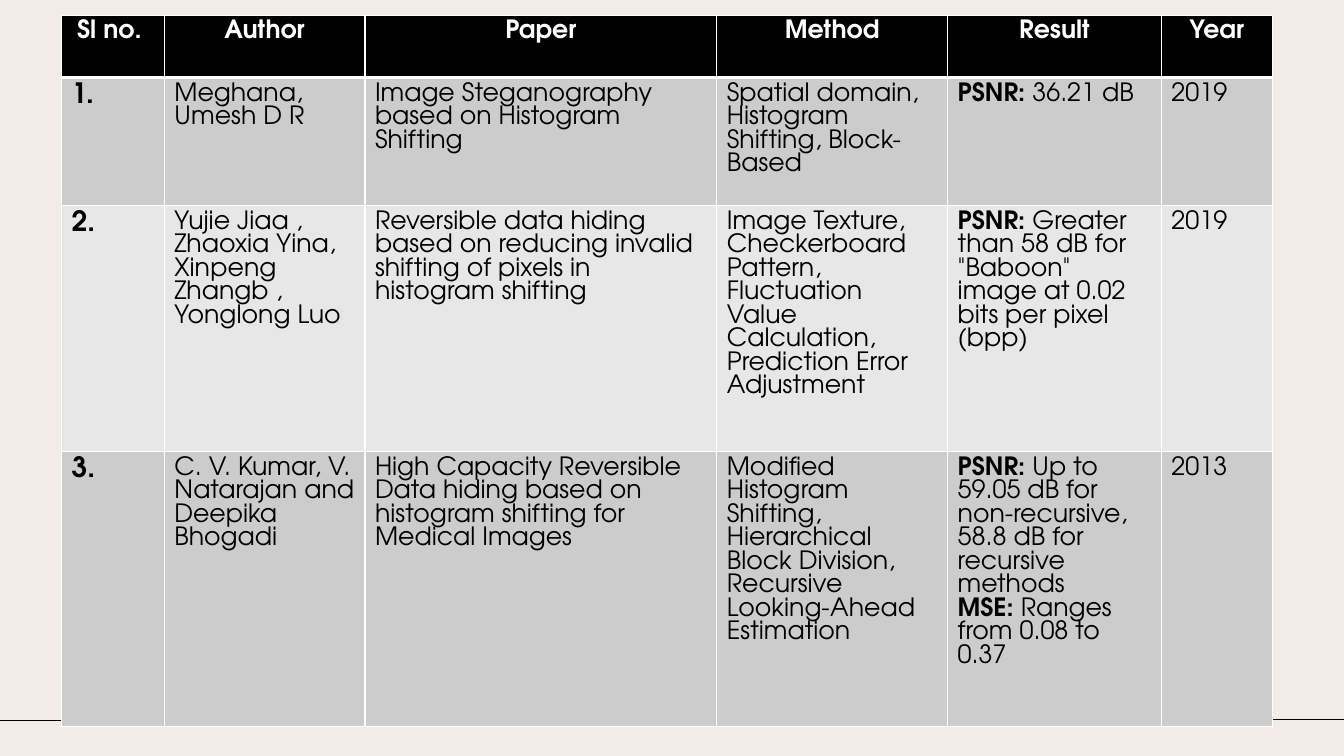
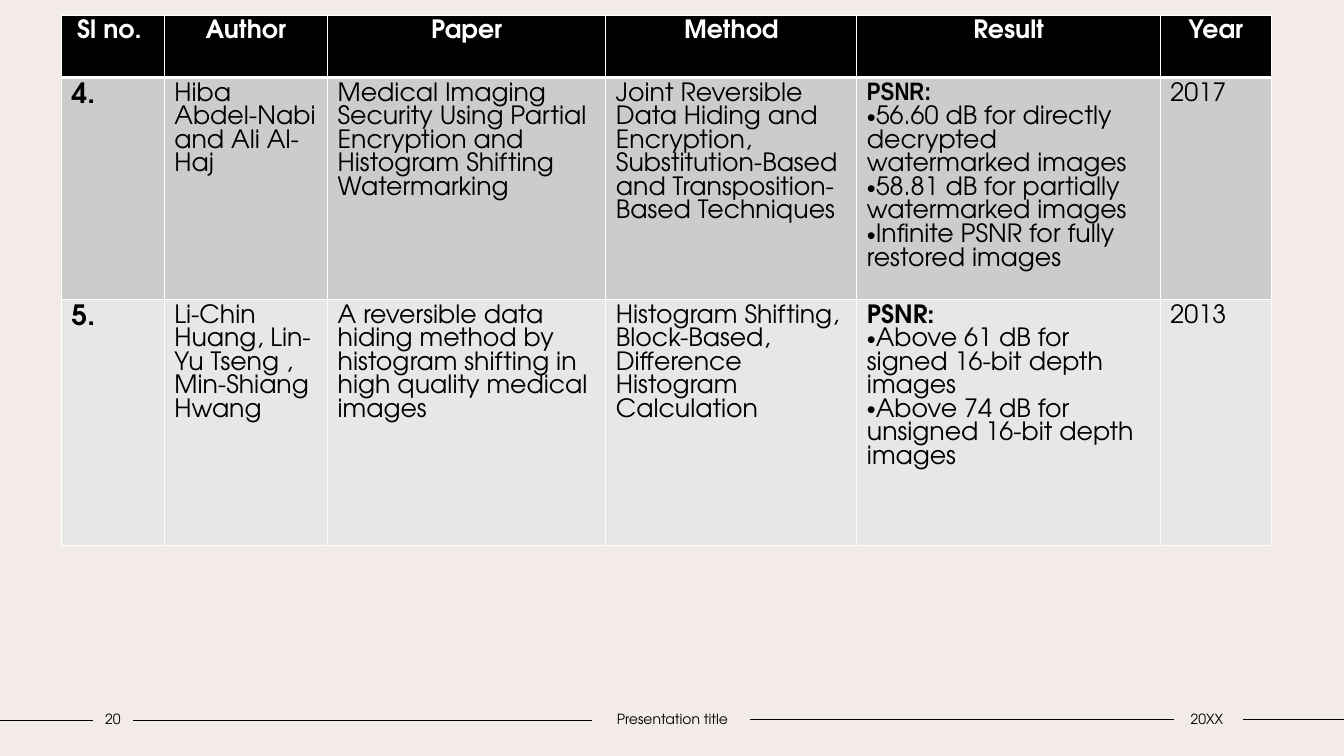
from lxml import etree
from pptx import Presentation
from pptx import util as u
from pptx.dml import color
from pptx.enum import shapes, text
from pptx.oxml import ns

COLORS = {"paper": "F3EBE8", "ink": "000000", "white": "FFFFFF",
          "odd": "CCCCCC", "even": "E7E7E7"}
FONT = "TeX Gyre Adventor"
NARROW = "Arial Narrow"
LINE_RATIO = 16.8 / 18
HEADINGS = ["Sl no. ", "Author", "Paper", "Method", "Result", "Year"]
FOOTER_RULES = [(0, 0.92, 7.15), (1.32, 5.87, 7.15),
                (7.44, 11.64, 7.14), (12.33, 13.33, 7.14)]
TABLE_LEFT, TABLE_TOP, HEADER_HEIGHT = 0.61, 0.15, 0.62

SURVEYS = [
    {"page": "19",
     "widths": [1.02, 1.99, 3.49, 2.29, 2.12, 1.1],
     "heights": [1.27, 2.44, 2.73],
     "papers": [
         ("1.", "Meghana, Umesh D R",
          "Image Steganography based on Histogram Shifting",
          "Spatial domain, Histogram Shifting, Block-Based",
          [("PSNR: ", "36.21 dB")], "2019"),
         ("2.", "Yujie Jiaa , Zhaoxia Yina, Xinpeng Zhangb , Yonglong Luo",
          "Reversible data hiding based on reducing invalid shifting of pixels "
          "in histogram shifting",
          "Image Texture, Checkerboard Pattern, Fluctuation Value Calculation, "
          "Prediction Error Adjustment",
          [("PSNR: ", 'Greater than 58 dB for "Baboon" image at 0.02 bits per '
            "pixel (bpp)")], "2019"),
         ("3.", "C. V. Kumar, V. Natarajan and Deepika Bhogadi",
          "High Capacity Reversible Data hiding based on histogram shifting "
          "for Medical Images",
          "Modified Histogram Shifting, Hierarchical Block Division, "
          "Recursive Looking-Ahead Estimation",
          [("PSNR: ", "Up to 59.05 dB for non-recursive, 58.8 dB for recursive "
            "methods"),
           ("MSE: ", "Ranges from 0.08 to 0.37")], "2013"),
     ]},
    {"page": "20",
     "widths": [1.02, 1.62, 2.76, 2.49, 3.01, 1.1],
     "heights": [2.2, 2.44],
     "label_fonts": [NARROW, FONT],
     "papers": [
         ("4.", "Hiba Abdel-Nabi and Ali Al-Haj",
          "Medical Imaging Security Using Partial Encryption and Histogram "
          "Shifting Watermarking",
          "Joint Reversible Data Hiding and Encryption, Substitution-Based and "
          "Transposition-Based Techniques",
          [("PSNR:", ""),
           ("", "56.60 dB for directly decrypted watermarked images"),
           ("", "58.81 dB for partially watermarked images"),
           ("", "Infinite PSNR for fully restored images")], "2017"),
         ("5.", "Li-Chin Huang, Lin-Yu Tseng , Min-Shiang Hwang",
          "A reversible data hiding method by histogram shifting in high "
          "quality medical images",
          "Histogram Shifting, Block-Based, Difference Histogram Calculation",
          [("PSNR:", ""),
           ("", "Above 61 dB for signed 16-bit depth images"),
           ("", "Above 74 dB for unsigned 16-bit depth images")], "2013"),
     ]},
]


def rgb(name):
    """Return the named colour."""
    return color.RGBColor.from_string(COLORS[name])


def style_paragraph(paragraph, size, ink="ink", bold=False, font=FONT):
    """Set the font of a whole paragraph."""
    paragraph.font.name = font
    paragraph.font.size = u.Pt(size)
    paragraph.font.bold = bold
    paragraph.font.color.rgb = rgb(ink)


def add_bullet(paragraph):
    """Put a dot directly before the paragraph."""
    properties = paragraph._p.get_or_add_pPr()
    properties.set("marL", "0")
    properties.set("indent", "0")
    etree.SubElement(properties, ns.qn("a:buFont"), typeface="Arial")
    etree.SubElement(properties, ns.qn("a:buChar"), char="•")


def style_cell(cell, fill, top, bottom):
    """Draw white borders and a plain fill."""
    properties = cell._tc.get_or_add_tcPr()
    for side, points in (("L", 1), ("R", 1), ("T", top), ("B", bottom)):
        border = etree.SubElement(properties, ns.qn(f"a:ln{side}"),
                                  w=str(u.Pt(points)))
        solid = etree.SubElement(border, ns.qn("a:solidFill"))
        etree.SubElement(solid, ns.qn("a:srgbClr"), val=COLORS["white"])
    cell.fill.solid()
    cell.fill.fore_color.rgb = rgb(fill)


def write_line(paragraph, words, size=18, **style):
    """Write one tightly spaced table paragraph."""
    paragraph.line_spacing = u.Pt(round(size * LINE_RATIO, 1))
    paragraph.add_run().text = words
    style_paragraph(paragraph, size, **style)


def write_results(cell, results, label_font):
    """Write bold measures followed by values, or bulleted values."""
    frame = cell.text_frame
    for index, (label, value) in enumerate(results):
        paragraph = frame.add_paragraph() if index else frame.paragraphs[0]
        if label and value:
            write_line(paragraph, label)
            paragraph.runs[0].font.bold = True
            paragraph.add_run().text = value
        elif label:
            write_line(paragraph, label, bold=True, font=label_font)
        else:
            add_bullet(paragraph)
            write_line(paragraph, value)


def add_survey_table(slide, left, top, survey):
    """Build the literature table from its top left corner."""
    widths = survey["widths"]
    heights = [HEADER_HEIGHT] + survey["heights"]
    table = slide.shapes.add_table(
        len(heights), len(widths), u.Inches(left), u.Inches(top),
        u.Inches(sum(widths)), u.Inches(sum(heights))).table
    for column, width in zip(table.columns, widths):
        column.width = u.Inches(width)
    for row, height in zip(table.rows, heights):
        row.height = u.Inches(height)

    for cell, heading in zip(table.rows[0].cells, HEADINGS):
        style_cell(cell, "ink", 1, 3)
        paragraph = cell.text_frame.paragraphs[0]
        paragraph.alignment = text.PP_ALIGN.CENTER
        write_line(paragraph, heading, ink="white", bold=True)

    label_fonts = survey.get("label_fonts", [FONT] * len(survey["papers"]))
    for number, paper in enumerate(survey["papers"], 1):
        for column, content in enumerate(paper):
            cell = table.cell(number, column)
            style_cell(cell, "odd" if number % 2 else "even",
                       3 if number == 1 else 1, 1)
            if isinstance(content, list):
                write_results(cell, content, label_fonts[number - 1])
            else:
                write_line(cell.text_frame.paragraphs[0], content,
                           size=18 if column else 20, bold=column == 0)


def add_footer(slide, page):
    """Add the footer rules with page, title and year between them."""
    for start, end, height in FOOTER_RULES:
        rule = slide.shapes.add_connector(
            shapes.MSO_CONNECTOR.STRAIGHT, u.Inches(start), u.Inches(height),
            u.Inches(end), u.Inches(height))
        rule.line.color.rgb = rgb("ink")
        rule.line.width = u.Pt(1)
        etree.SubElement(rule._element.spPr, ns.qn("a:effectLst"))
    for words, left, width in ((page, 0.92, 0.4),
                               ("Presentation title", 5.87, 1.6),
                               ("20XX", 11.62, 0.7)):
        frame = slide.shapes.add_textbox(
            u.Inches(left), u.Inches(7), u.Inches(width),
            u.Inches(0.27)).text_frame
        frame.word_wrap = True
        frame.margin_left = frame.margin_right = 0
        frame.vertical_anchor = text.MSO_ANCHOR.MIDDLE
        paragraph = frame.paragraphs[0]
        paragraph.add_run().text = words
        paragraph.alignment = text.PP_ALIGN.CENTER
        style_paragraph(paragraph, 10)


def main():
    """Build and save the survey slides."""
    deck = Presentation()
    deck.slide_width, deck.slide_height = u.Inches(13.33), u.Inches(7.5)
    background = deck.slide_master.background.fill
    background.solid()
    background.fore_color.rgb = rgb("paper")
    for survey in SURVEYS:
        slide = deck.slides.add_slide(deck.slide_layouts[6])
        add_footer(slide, survey["page"])
        add_survey_table(slide, TABLE_LEFT, TABLE_TOP, survey)
    deck.save("out.pptx")


if __name__ == "__main__":
    main()
